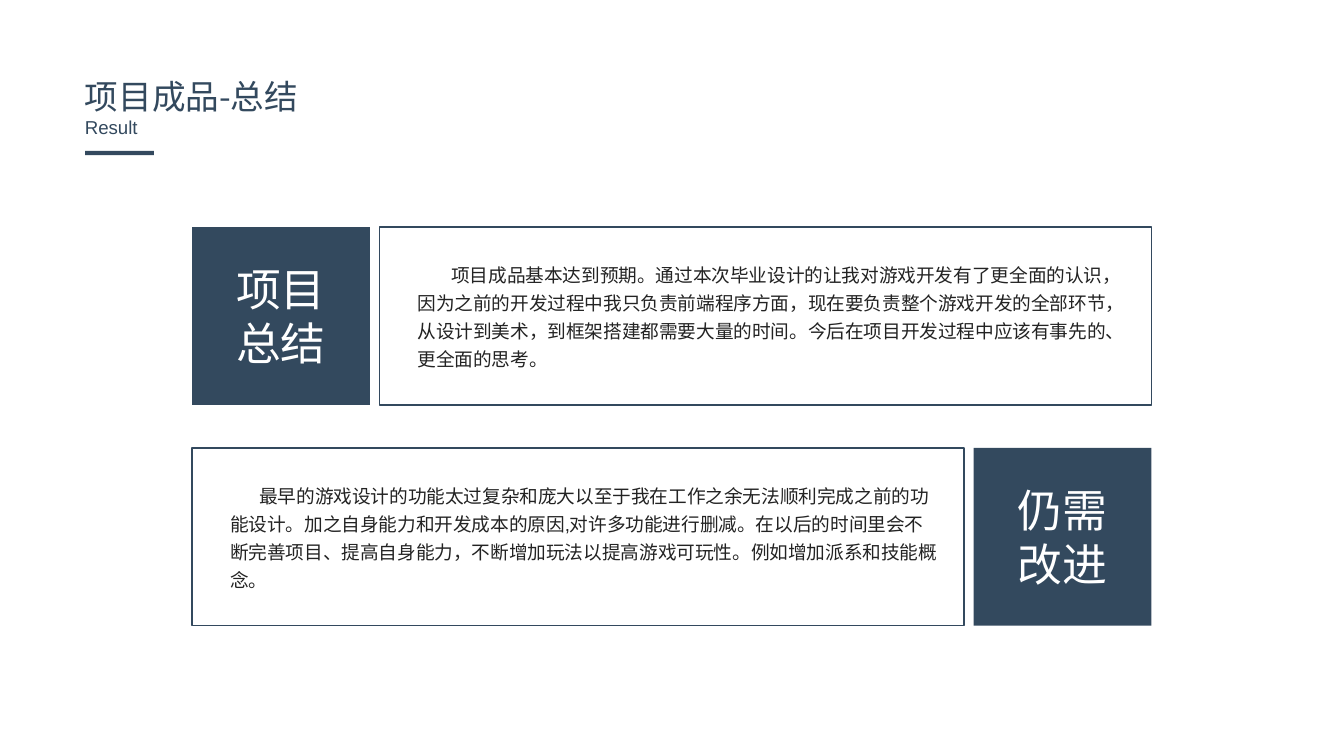
import pptx
import pptx.dml.color
import pptx.enum.shapes
import pptx.enum.text
import pptx.util

Cm = pptx.util.Cm
Pt = pptx.util.Pt
ALIGN = pptx.enum.text.PP_ALIGN
COLORS = {"navy": "33495E", "white": "FFFFFF", "ink": "232323"}


def add_rectangle(left, top, width, height, fill=None, line=None):
    shape = page.shapes.add_shape(
        pptx.enum.shapes.MSO_SHAPE.RECTANGLE, Cm(left), Cm(top), Cm(width), Cm(height))
    shape.shadow.inherit = False
    if fill:
        shape.fill.solid()
        shape.fill.fore_color.rgb = pptx.dml.color.RGBColor.from_string(COLORS[fill])
    else:
        shape.fill.background()
    if line:
        shape.line.color.rgb = pptx.dml.color.RGBColor.from_string(COLORS[line])
        shape.line.width = Pt(0.75)
    else:
        shape.line.fill.background()


def write_paragraph(paragraph, text, size, font, color, align=ALIGN.LEFT):
    paragraph.text = text
    paragraph.alignment = align
    paragraph.font.size = Pt(size)
    paragraph.font.name = font
    paragraph.font.color.rgb = pptx.dml.color.RGBColor.from_string(COLORS[color])


deck = pptx.Presentation()
deck.slide_width = Cm(25.4)
deck.slide_height = Cm(14.28)
page = deck.slides.add_slide(deck.slide_layouts[5])

title = page.shapes.title
title.left, title.top, title.width, title.height = Cm(1.35), Cm(1.3), Cm(9.3), Cm(1.45)
frame = title.text_frame
frame.word_wrap = True
frame.auto_size = pptx.enum.text.MSO_AUTO_SIZE.NONE
frame.vertical_anchor = pptx.enum.text.MSO_ANCHOR.TOP
write_paragraph(frame.paragraphs[0], "项目成品-总结", 18, "Noto Sans CJK SC", "navy")
write_paragraph(frame.add_paragraph(), "Result", 10, "Arial", "navy")
add_rectangle(1.61, 2.85, 1.3, 0.08, fill="navy")

LEFT, SQUARE, GAP, PANEL = 3.63, 3.36, 0.18, 14.59
rows = [
    (4.29, LEFT, LEFT + SQUARE + GAP, 0.64, "项目总结",
     "项目成品基本达到预期。通过本次毕业设计的让我对游戏开发有了更全面的认识，"
     "因为之前的开发过程中我只负责前端程序方面，现在要负责整个游戏开发的全部环节，"
     "从设计到美术，到框架搭建都需要大量的时间。今后在项目开发过程中应该有事先的、"
     "更全面的思考。"),
    (8.46, LEFT + PANEL + GAP, LEFT, 0.55, "仍需改进",
     "最早的游戏设计的功能太过复杂和庞大以至于我在工作之余无法顺利完成之前的功"
     "能设计。加之自身能力和开发成本的原因,对许多功能进行删减。在以后的时间里会不"
     "断完善项目、提高自身能力，不断增加玩法以提高游戏可玩性。例如增加派系和技能概"
     "念。"),
]

for top, square_left, panel_left, indent, label, body in rows:
    add_rectangle(square_left, top, SQUARE, SQUARE, fill="navy")
    add_rectangle(panel_left, top, PANEL, SQUARE, line="navy")

    label_box = page.shapes.add_textbox(
        Cm(square_left + 0.46), Cm(top + 0.66), Cm(2.44), Cm(2.06))
    frame = label_box.text_frame
    frame.word_wrap = True
    frame.margin_left = frame.margin_right = frame.margin_top = frame.margin_bottom = 0
    write_paragraph(frame.paragraphs[0], label, 24, "Arial", "white", ALIGN.CENTER)

    body_box = page.shapes.add_textbox(
        Cm(panel_left + 0.47), Cm(top + 0.46), Cm(13.9), Cm(2.4))
    frame = body_box.text_frame
    frame.word_wrap = True
    paragraph = frame.paragraphs[0]
    write_paragraph(paragraph, body, 10, "Arial", "ink")
    paragraph.line_spacing = Pt(15)
    paragraph.alignment = ALIGN.LEFT
    paragraph._p.get_or_add_pPr().set("indent", str(Cm(indent)))

deck.save("out.pptx")
